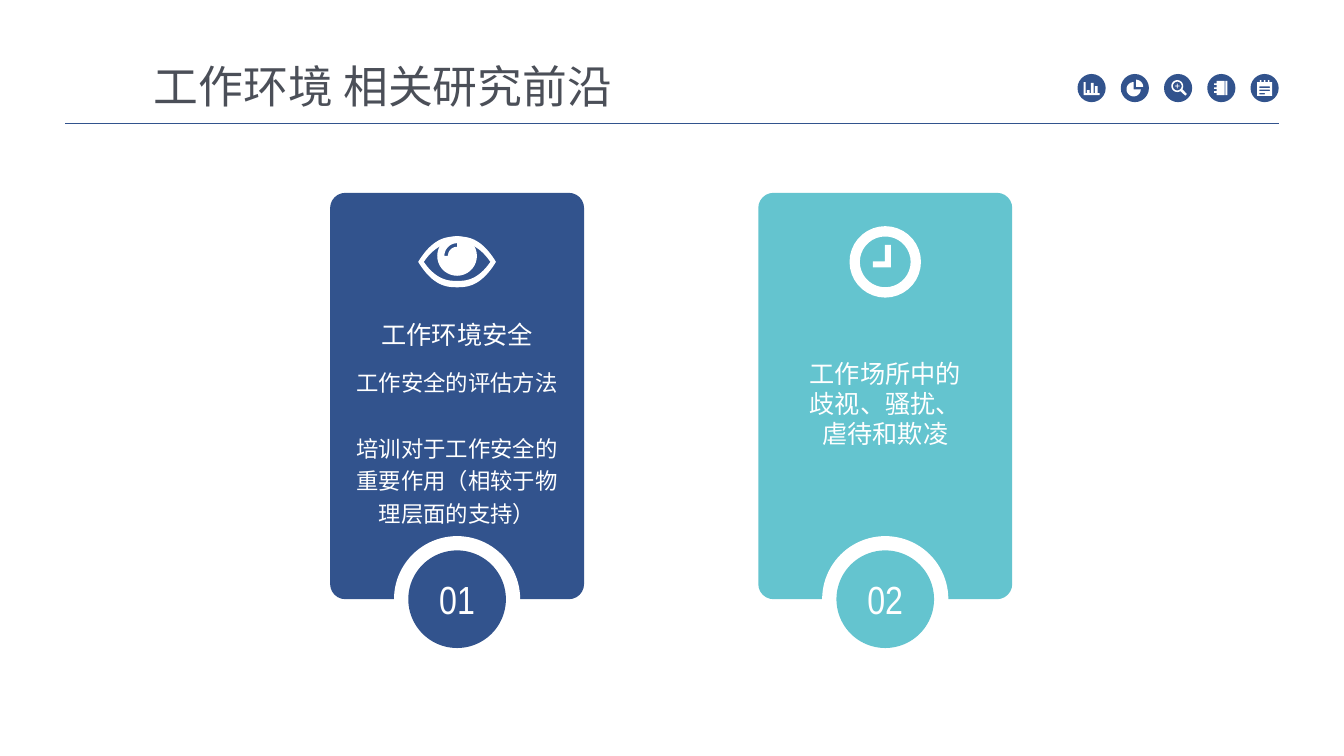
import math

from pptx import Presentation
from pptx import util as u
from pptx.dml.color import RGBColor
from pptx.enum import shapes, text
from pptx.oxml.ns import qn
from lxml import etree

COLOURS = {"navy": "32538D", "teal": "64C4CF", "white": "FFFFFF", "slate": "4B4F58"}
SANS_JP, SANS_SC, NARROW = "Noto Sans CJK JP", "Noto Sans CJK SC", "Arial Narrow"
CARD_TOP, CARD_WIDTH, CARD_HEIGHT = 4.86, 6.4, 10.24
ICON_Y = 6.6


def colour(name):
    return RGBColor.from_string(COLOURS[name])


def paint(shape, fill):
    shape.shadow.inherit = False
    shape.fill.solid()
    shape.fill.fore_color.rgb = colour(fill)
    shape.line.fill.background()


def set_font(para, name, size, ink):
    para.font.size = u.Pt(size)
    para.font.color.rgb = colour(ink)
    para.font.name = name
    properties = para._p.get_or_add_pPr().get_or_add_defRPr()
    etree.SubElement(properties, qn("a:ea")).set("typeface", name)


def add_disc(page, x, y, diameter, fill):
    disc = page.shapes.add_shape(
        shapes.MSO_SHAPE.OVAL, u.Cm(x - diameter / 2), u.Cm(y - diameter / 2),
        u.Cm(diameter), u.Cm(diameter))
    paint(disc, fill)
    return disc


def add_text(page, x, y, width, height, lines, name, size, spacing=1.0, gap=0):
    box = page.shapes.add_textbox(
        u.Cm(x - width / 2), u.Cm(y - height / 2), u.Cm(width), u.Cm(height))
    frame = box.text_frame
    frame.word_wrap = True
    frame.vertical_anchor = text.MSO_ANCHOR.MIDDLE
    frame.margin_left = frame.margin_right = frame.margin_top = frame.margin_bottom = 0
    for index, line in enumerate(lines):
        para = frame.add_paragraph() if index else frame.paragraphs[0]
        para.text = line
        para.alignment = text.PP_ALIGN.CENTER
        para.line_spacing = spacing
        if index:
            para.space_before = u.Pt(gap)
        set_font(para, name, size, "white")


def arc(x, y, radius, start=0, end=360):
    steps = 36
    angles = [math.radians(start + (end - start) * i / steps) for i in range(steps + 1)]
    return [(x + radius * math.cos(a), y + radius * math.sin(a)) for a in angles]


def block(x, y, width, height):
    return [(x, y), (x + width, y), (x + width, y + height), (x, y + height)]


def lens(half_width, half_height):
    xs = [half_width * i / 20 for i in range(-20, 21)]
    upper = [(x, -half_height * (1 - abs(x / half_width) ** 2.5)) for x in xs]
    return upper + [(x, -y) for x, y in reversed(upper)]


def add_icon(page, x, y, contours):
    builder = None
    for contour in contours:
        points = [(u.Cm(x + dx), u.Cm(y + dy)) for dx, dy in contour]
        if builder is None:
            builder = page.shapes.build_freeform(*points[0])
        else:
            builder.move_to(*points[0])
        builder.add_line_segments(points[1:], close=True)
    paint(builder.convert_to_shape(), "white")


def add_header(page):
    rule = page.shapes.add_connector(
        shapes.MSO_CONNECTOR.STRAIGHT, u.Cm(1.65), u.Cm(3.1), u.Cm(32.23), u.Cm(3.1))
    rule.line.color.rgb = colour("navy")
    rule.line.width = u.Pt(0.5)
    etree.SubElement(rule._element.spPr, qn("a:effectLst"))

    title = page.shapes.add_textbox(u.Cm(3.63), u.Cm(1.35), u.Cm(13.61), u.Cm(1.63))
    title.text_frame.word_wrap = True
    para = title.text_frame.paragraphs[0]
    para.text = "工作环境 相关研究前沿"
    set_font(para, SANS_JP, 32, "slate")

    bar_chart = [
        [(-.2, -.15), (-.15, -.15), (-.15, .13), (.2, .13), (.2, .18), (-.2, .18)],
        block(-.12, .05, .07, .07), block(-.02, -.13, .07, .25), block(.08, -.05, .07, .17)]
    pie = [[(.03, -.03)] + arc(.03, -.03, .18, 270, 360),
           [(-.03, .03)] + arc(-.03, .03, .18, 0, 270)]
    magnifier = [
        arc(-.02, -.05, .15), arc(-.02, -.05, .11),
        block(-.08, -.06, .12, .02), block(-.03, -.11, .02, .05), block(-.03, -.04, .02, .05),
        [(.11, .03), (.22, .15), (.18, .19), (.06, .08)]]
    notebook = [block(-.12, -.18, .2, .36), block(.1, -.18, .05, .36)]
    notebook += [block(-.18, y, .06, .04) for y in (-.12, -.02, .08)]
    notepad = [block(-.19, -.15, .38, .35)]
    notepad += [block(-.13, y, width, .04) for y, width in ((-.04, .26), (.04, .26), (.12, .14))]
    notepad += [block(x, -.2, .04, .05) for x in (-.12, -.02, .08)]
    for index, icon in enumerate((bar_chart, pie, magnifier, notebook, notepad)):
        x = 27.51 + 1.09 * index
        add_disc(page, x, 2.22, .71, "navy")
        add_icon(page, x, 2.22, icon)


def add_card(page, x, number, fill):
    card = page.shapes.add_shape(
        shapes.MSO_SHAPE.ROUNDED_RECTANGLE, u.Cm(x - CARD_WIDTH / 2), u.Cm(CARD_TOP),
        u.Cm(CARD_WIDTH), u.Cm(CARD_HEIGHT))
    card.adjustments[0] = 0.06
    paint(card, fill)
    bottom = CARD_TOP + CARD_HEIGHT
    add_disc(page, x, bottom, 3.18, "white")
    badge = add_disc(page, x, bottom, 2.46, fill)
    badge.text_frame.vertical_anchor = text.MSO_ANCHOR.MIDDLE
    para = badge.text_frame.paragraphs[0]
    para.text = number
    para.alignment = text.PP_ALIGN.CENTER
    set_font(para, NARROW, 28, "white")


def main():
    """Build the slide on workplace research topics."""
    deck = Presentation()
    deck.slide_width, deck.slide_height = u.Cm(33.87), u.Cm(19.05)
    page = deck.slides.add_slide(deck.slide_layouts[6])
    add_header(page)

    safety_x, conduct_x = 11.52, 22.31
    add_card(page, safety_x, "01", "navy")
    add_icon(page, safety_x, ICON_Y, [lens(.98, .64), lens(.84, .48)])
    glint = arc(0, -.15, .32, 180, 270) + arc(0, -.15, .23, 270, 180)
    add_icon(page, safety_x, ICON_Y, [arc(0, -.15, .5), glint])
    add_text(page, safety_x, 8.43, 4.11, .9, ["工作环境安全"], SANS_JP, 18)
    add_text(page, safety_x, 11.22, 5.18, 4.06,
             ["工作安全的评估方法", "培训对于工作安全的重要作用（相较于物理层面的支持）"],
             SANS_SC, 16, spacing=1.2, gap=24)

    add_card(page, conduct_x, "02", "teal")
    hands = [(-.01, -.43), (.14, -.43), (.14, .14), (-.31, .14), (-.31, -.01), (-.01, -.01)]
    add_icon(page, conduct_x, ICON_Y, [arc(0, 0, .9), arc(0, 0, .64), hands])
    add_text(page, conduct_x, 10.16, 4.11, 2.3,
             ["工作场所中的歧视、骚扰、虐待和欺凌"], SANS_JP, 18)
    deck.save("out.pptx")


if __name__ == "__main__":
    main()
